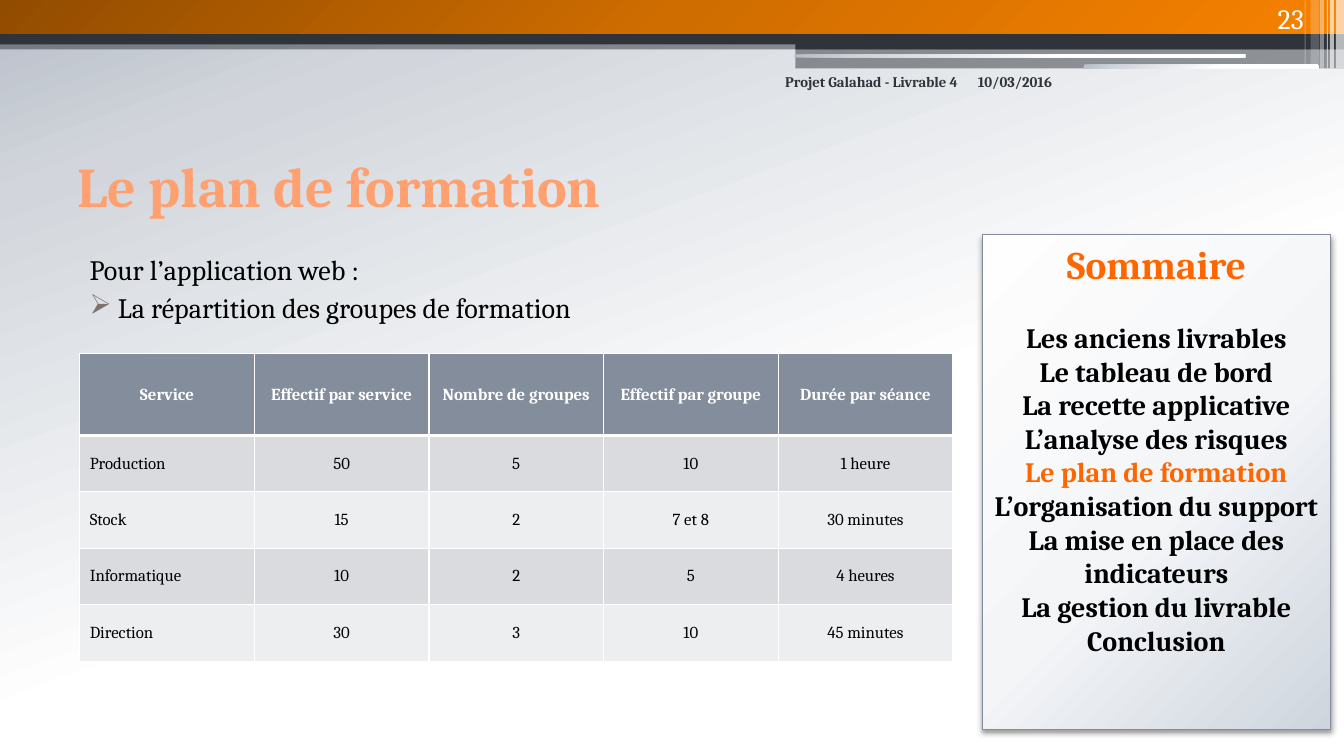
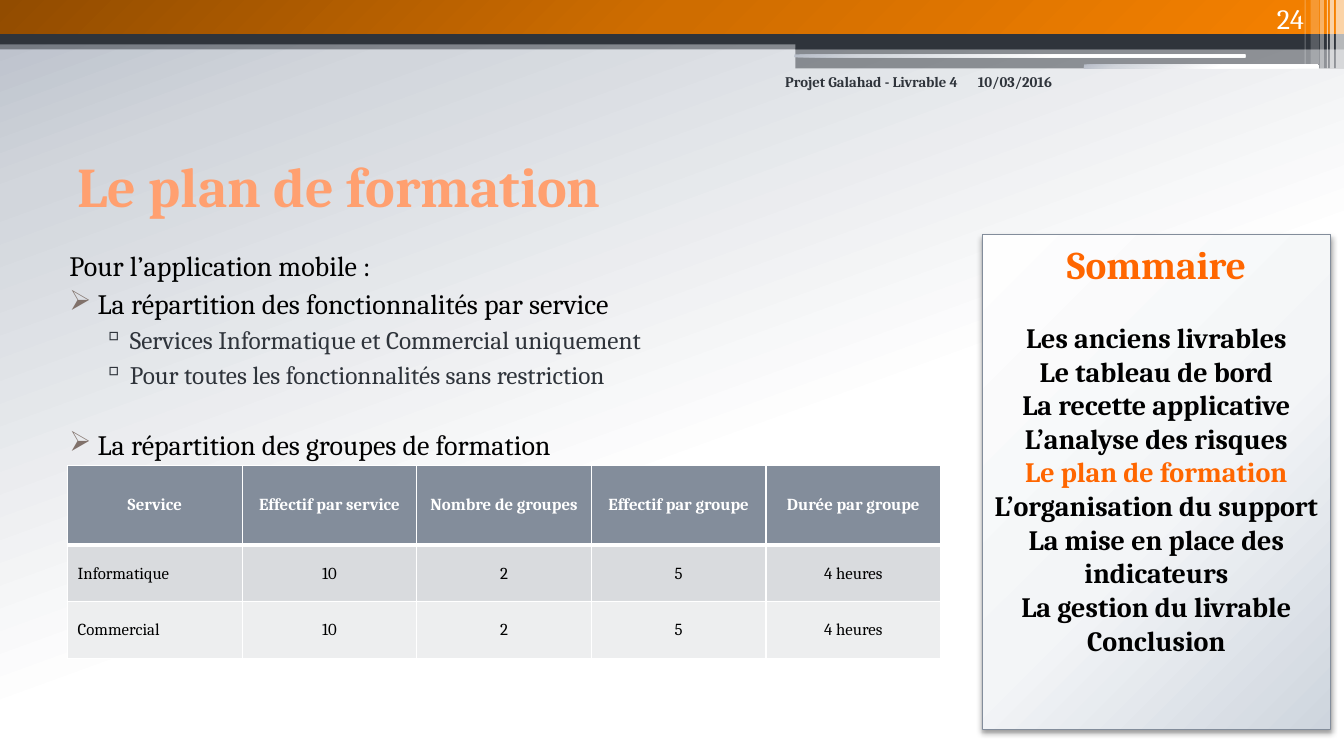
from dataclasses import dataclass
from typing import NamedTuple

from lxml import etree
from pptx import Presentation
from pptx.dml.color import RGBColor
from pptx.enum import shapes, text
from pptx.oxml import ns
from pptx.util import Inches, Pt

FONT = "Cambria"
WHITE = RGBColor(0xFF, 0xFF, 0xFF)
BLACK = RGBColor(0, 0, 0)
DARK = RGBColor(0x2F, 0x34, 0x3B)
SLATE = RGBColor(0x83, 0x8D, 0x9B)
ORANGE = RGBColor(0xFF, 0x66, 0x00)
PEACH = RGBColor(0xFF, 0xA0, 0x70)
AMBER = RGBColor(0xF6, 0x81, 0x00)
TAUPE = RGBColor(0x80, 0x71, 0x6A)
ROWS = (RGBColor(0xD9, 0xDB, 0xDE), RGBColor(0xED, 0xEE, 0xEF))

LEFT, CENTER, RIGHT = text.PP_ALIGN.LEFT, text.PP_ALIGN.CENTER, text.PP_ALIGN.RIGHT
TOP, MIDDLE, BOTTOM = text.MSO_ANCHOR.TOP, text.MSO_ANCHOR.MIDDLE, text.MSO_ANCHOR.BOTTOM
RECT = shapes.MSO_SHAPE.RECTANGLE
ROUND = shapes.MSO_SHAPE.ROUNDED_RECTANGLE


class Box(NamedTuple):
    left: float
    top: float
    width: float
    height: float

    def emu(self) -> list[int]:
        return [Inches(side) for side in self]


class Blend(NamedTuple):
    """Gradient stops as (percent, colour); no angle means a circular path."""
    stops: tuple[tuple[int, RGBColor], ...]
    angle: int | None = None


@dataclass
class Band:
    box: Box
    fill: RGBColor | Blend
    alpha: int = 100
    kind: shapes.MSO_SHAPE = RECT


@dataclass
class Line:
    text: str
    level: int = 0
    gap: float = 3


@dataclass
class Page:
    number: int
    body: Box
    lines: list[Line]
    table: Box
    head: float
    last: str
    rows: list[tuple[str, ...]]


SKY = Blend(((0, RGBColor(0xB7, 0xBD, 0xC8)), (16, RGBColor(0xD2, 0xD6, 0xDC)),
             (58, WHITE)), 70)
FIRE = Blend(((0, RGBColor(0x92, 0x4C, 0x00)), (50, RGBColor(0xCF, 0x6D, 0x00)),
              (100, AMBER)), 45)
MIST = Blend(((0, RGBColor(0xFE, 0xFE, 0xFE)), (55, RGBColor(0xF3, 0xF5, 0xF7)),
              (100, RGBColor(0xCE, 0xD5, 0xDE))))

BANDS = [
    Band(Box(0, 0.4, 13.33, 0.09), DARK, 50),
    Band(Box(0, 0, 13.33, 0.34), FIRE),
    Band(Box(0, 0.34, 13.33, 0.1), DARK),
    Band(Box(7.89, 0.39, 5.44, 0.1), DARK),
    Band(Box(7.89, 0.48, 5.44, 0.2), DARK, 50),
    Band(Box(7.88, 0.54, 4.47, 0.03), SKY, kind=ROUND),
    Band(Box(10.75, 0.64, 2.33, 0.04), SKY, kind=ROUND),
] + [
    Band(Box(left, 0, width, height), WHITE, alpha)
    for left, width, height, alpha in (
        (13.25, 0.08, 0.68, 65), (13.19, 0.04, 0.68, 65), (13.16, 0.01, 0.68, 60),
        (13.09, 0.04, 0.68, 40), (13, 0.08, 0.64, 20), (12.94, 0.01, 0.64, 30))
]

TITLE = "Le plan de formation"
TOPICS = ["Les anciens livrables", "Le tableau de bord", "La recette applicative",
          "L’analyse des risques", TITLE, "L’organisation du support",
          "La mise en place des indicateurs", "La gestion du livrable", "Conclusion"]
HEADS = ("Service", "Effectif par service", "Nombre de groupes", "Effectif par groupe")
ROW = 0.56

# Per level: size, colour, indent, hanging, bullet, bullet colour
LEVELS = (
    dict(size=20, color=BLACK, indent=0.12),
    dict(size=20, color=BLACK, indent=0.4, hang=0.28, bullet="➢", tint=TAUPE),
    dict(size=18, color=DARK, indent=0.72, hang=0.27, bullet="▫", tint=DARK),
)

PAGES = [
    Page(23, Box(0.67, 2.46, 12.06, 4.73),
         [Line("Pour l’application web :", gap=0),
          Line("La répartition des groupes de formation", 1)],
         Box(0.79, 3.51, 8.66, 3.07), 0.81, "Durée par séance",
         [("Production", "50", "5", "10", "1 heure"),
          ("Stock", "15", "2", "7 et 8", "30 minutes"),
          ("Informatique", "10", "2", "5", "4 heures"),
          ("Direction", "30", "3", "10", "45 minutes")]),
    Page(24, Box(0.47, 2.42, 9.31, 4.73),
         [Line("Pour l’application mobile :", gap=0),
          Line("La répartition des fonctionnalités par service", 1),
          Line("Services Informatique et Commercial uniquement", 2),
          Line("Pour toutes les fonctionnalités sans restriction", 2),
          Line("La répartition des groupes de formation", 1, gap=27.6)],
         Box(0.67, 4.62, 8.66, 1.92), 0.79, "Durée par groupe",
         [("Informatique", "10", "2", "5", "4 heures"),
          ("Commercial", "10", "2", "5", "4 heures")]),
]


def node(parent, tag: str, **attrs):
    """Append a DrawingML element and return it."""
    return etree.SubElement(parent, ns.qn(f"a:{tag}"),
                            {key: str(value) for key, value in attrs.items()})


def tone(parent, color: RGBColor, alpha: int = 100) -> None:
    part = node(parent, "srgbClr", val=color)
    if alpha < 100:
        node(part, "alpha", val=alpha * 1000)


def stroke(parent, tag: str, color: RGBColor, width: float):
    line = node(parent, tag, w=Pt(width))
    tone(node(line, "solidFill"), color)
    return line


def paint(fill, root, ink: RGBColor | Blend, alpha: int = 100) -> None:
    """Fill an object; root is the element that holds the fill."""
    fill.solid()
    fill.fore_color.rgb = WHITE
    old = next(root.iter(ns.qn("a:solidFill")))
    if isinstance(ink, RGBColor):
        old.clear()
        tone(old, ink, alpha)
        return
    new = etree.Element(ns.qn("a:gradFill"), rotWithShape="1")
    stops = node(new, "gsLst")
    for spot, color in ink.stops:
        tone(node(stops, "gs", pos=spot * 1000), color)
    if ink.angle is None:
        node(node(new, "path", path="circle"), "fillToRect",
             l=-40000, t=-90000, r=140000, b=190000)
    else:
        node(new, "lin", ang=ink.angle * 60000, scaled=0)
    old.getparent().replace(old, new)


def put(frame, words: str, *, size: float, color: RGBColor, bold: bool = False,
        align=LEFT, gap: float = 0, indent: float = 0, hang: float = 0,
        bullet: str = "", tint: RGBColor = BLACK, edge: RGBColor | None = None) -> None:
    """Add one formatted paragraph to a text frame."""
    para = frame.add_paragraph() if frame.text else frame.paragraphs[0]
    props = para._p.get_or_add_pPr()
    if indent:
        props.set("marL", str(Inches(indent)))
        props.set("indent", str(-Inches(hang)))
    if bullet:
        tone(node(props, "buClr"), tint)
        node(props, "buChar", char=bullet)
    para.alignment = align
    if gap:
        para.space_before = Pt(gap)
    run = para.add_run()
    run.text = words
    if edge is not None:
        stroke(run._r.get_or_add_rPr(), "ln", edge, 1)
    font = run.font
    font.name, font.size, font.bold = FONT, Pt(size), bold
    font.color.rgb = color


def area(slide, box: Box, anchor=TOP):
    """Add a wrapping text box and return its frame."""
    frame = slide.shapes.add_textbox(*box.emu()).text_frame
    frame.word_wrap = True
    frame.vertical_anchor = anchor
    return frame


def block(slide, band: Band):
    shape = slide.shapes.add_shape(band.kind, *band.box.emu())
    shape.shadow.inherit = False
    shape.line.fill.background()
    paint(shape.fill, shape._element.spPr, band.fill, band.alpha)
    return shape


def frame(slide, number: int) -> None:
    """Draw the background, bands, header and title of every slide."""
    paint(slide.background.fill, slide.element, SKY)
    for band in BANDS:
        block(slide, band)
    put(area(slide, Box(0.67, 1.25, 8.91, 1.17), MIDDLE), TITLE,
        size=40, color=PEACH, bold=True, edge=AMBER)
    put(area(slide, Box(9.6, 0.67, 1.4, 0.5)), "10/03/2016",
        size=10.5, color=DARK, bold=True)
    put(area(slide, Box(7.67, 0.67, 1.93, 0.5)), "Projet Galahad - Livrable 4",
        size=10.5, color=DARK, bold=True, align=RIGHT)
    put(area(slide, Box(11.92, 0, 1.11, 0.4), BOTTOM), str(number),
        size=20, color=WHITE, align=RIGHT)


def agenda(slide) -> None:
    panel = block(slide, Band(Box(9.74, 2.33, 3.46, 4.91), MIST))
    panel.line.color.rgb = SLATE
    panel.line.width = Pt(0.75)
    glow = node(panel._element.spPr.find(ns.qn("a:effectLst")), "outerShdw",
                blurRad=Pt(4.1), dist=Pt(2), dir=90 * 60000, rotWithShape=0)
    tone(glow, BLACK, 40)
    body = panel.text_frame
    body.word_wrap = True
    body.vertical_anchor = TOP
    put(body, "Sommaire", size=28, color=ORANGE, bold=True, align=CENTER)
    for rank, topic in enumerate(TOPICS):
        put(body, topic, size=20, color=ORANGE if topic == TITLE else BLACK,
            bold=True, align=CENTER, gap=0 if rank else 24)


def grid(slide, page: Page) -> None:
    data = [(*HEADS, page.last), *page.rows]
    table = slide.shapes.add_table(len(data), len(data[0]), *page.table.emu()).table
    for r, row in enumerate(data):
        table.rows[r].height = Inches(ROW if r else page.head)
        for c, words in enumerate(row):
            cell = table.cell(r, c)
            cell.vertical_anchor = MIDDLE
            props = cell._tc.get_or_add_tcPr()
            sides = dict(lnL=1, lnR=1, lnT=3 if r == 1 else 1, lnB=1 if r else 3)
            for tag, width in sides.items():
                stroke(props, tag, WHITE, width)
            cell.fill.solid()
            cell.fill.fore_color.rgb = ROWS[(r - 1) % 2] if r else SLATE
            put(cell.text_frame, words, size=12, color=BLACK if r else WHITE,
                bold=r == 0, align=LEFT if r and c == 0 else CENTER)


def main() -> None:
    deck = Presentation()
    deck.slide_width, deck.slide_height = Inches(13.33), Inches(7.5)
    for page in PAGES:
        slide = deck.slides.add_slide(deck.slide_layouts[6])
        frame(slide, page.number)
        body = area(slide, page.body)
        for line in page.lines:
            put(body, line.text, gap=line.gap, **LEVELS[line.level])
        agenda(slide)
        grid(slide, page)
    deck.save("out.pptx")


if __name__ == "__main__":
    main()
